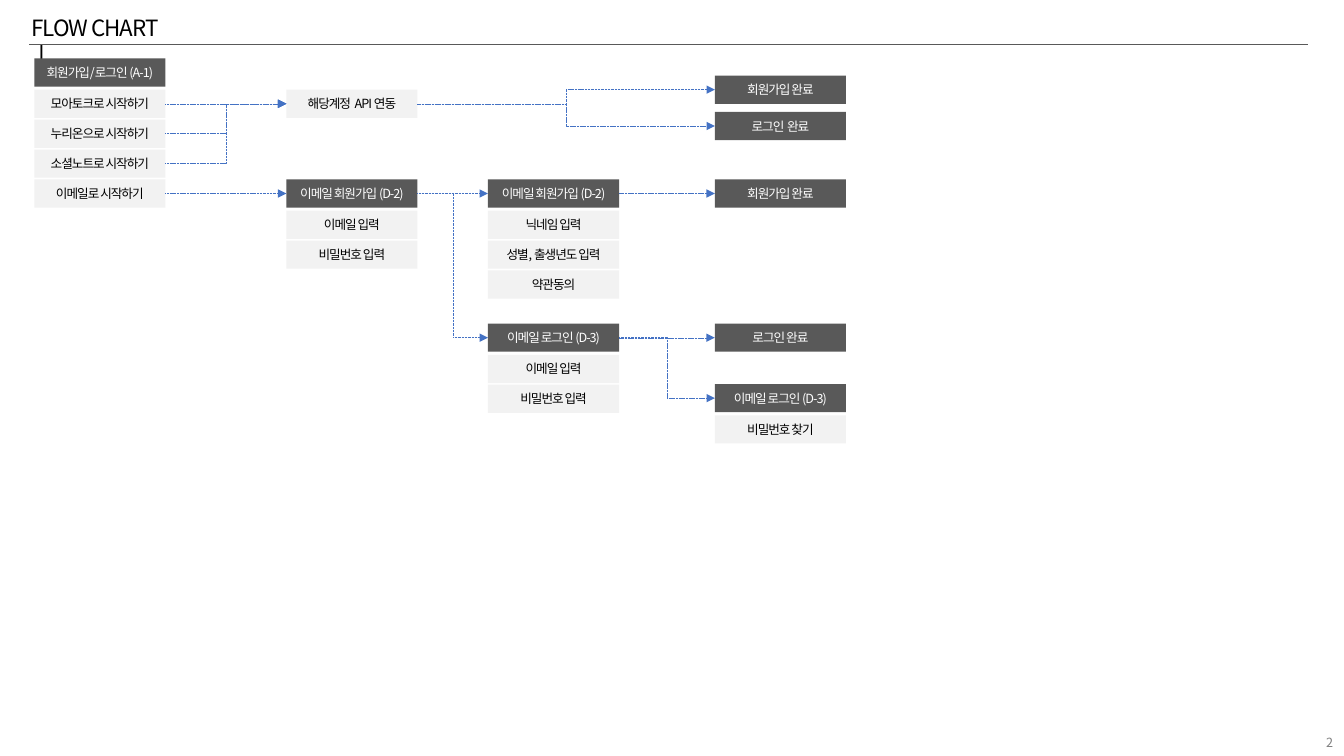
from lxml.etree import SubElement
from pptx import Presentation
from pptx.dml.color import RGBColor
from pptx.enum.dml import MSO_LINE
from pptx.enum.shapes import MSO_CONNECTOR as Link, MSO_SHAPE
from pptx.enum.text import MSO_ANCHOR as Anchor, MSO_AUTO_SIZE as Fit, PP_ALIGN as Align
from pptx.oxml.ns import qn
from pptx.util import Inches, Pt

FONT = "Noto Sans CJK KR"
COLORS = {
    "dark": "595959",
    "light": "F2F2F2",
    "white": "FFFFFF",
    "black": "000000",
    "gray": "808080",
    "blue": "4472C4",
}
WIDE, HIGH = 1.3, 0.28
COLS = [0.34, 2.84, 4.84, 7.09]


def write(shape, text, size=9, color="black", align=Align.CENTER, anchor=Anchor.MIDDLE, track=-70):
    frame = shape.text_frame
    frame.word_wrap = True
    frame.auto_size = Fit.NONE
    frame.vertical_anchor = anchor
    para = frame.paragraphs[0]
    para.alignment = align
    run = para.add_run()
    run.text = text
    run.font.size = Pt(size)
    run.font.name = FONT
    run.font.color.rgb = RGBColor.from_string(COLORS[color])
    props = run.font._element
    props.set("spc", str(track))
    SubElement(props, qn("a:ea")).set("typeface", FONT)


def box(left, top, text, fill="dark", color="white"):
    shape = slide.shapes.add_shape(
        MSO_SHAPE.RECTANGLE, Inches(left), Inches(top), Inches(WIDE), Inches(HIGH))
    shape.shadow.inherit = False
    shape.fill.solid()
    shape.fill.fore_color.rgb = RGBColor.from_string(COLORS[fill])
    shape.line.fill.background()
    write(shape, text, color=color)
    return shape


deck = Presentation()
deck.slide_width = Inches(13.33)
deck.slide_height = Inches(7.5)
slide = deck.slides.add_slide(deck.slide_layouts[5])

rule = slide.shapes.add_connector(
    Link.STRAIGHT, Inches(0.29), Inches(0.44), Inches(12.97), Inches(0.44))
rule.line.width = Pt(0.5)
rule.line.color.rgb = RGBColor.from_string(COLORS["dark"])
SubElement(rule._element.spPr, qn("a:effectLst"))

stacks = {
    "start": (0, 0.58, "회원가입/로그인 (A-1)",
              ["모아토크로 시작하기", "누리온으로 시작하기", "소셜노트로 시작하기", "이메일로 시작하기"]),
    "join": (1, 1.78, "이메일 회원가입 (D-2)", ["이메일 입력", "비밀번호 입력"]),
    "detail": (2, 1.78, "이메일 회원가입 (D-2)", ["닉네임 입력", "성별, 출생년도 입력", "약관동의"]),
    "login": (2, 3.21, "이메일 로그인 (D-3)", ["이메일 입력", "비밀번호 입력"]),
    "find": (3, 3.81, "이메일 로그인 (D-3)", ["비밀번호 찾기"]),
    "joined": (3, 1.78, "회원가입 완료", []),
    "logged": (3, 3.21, "로그인 완료", []),
    "api joined": (3, 0.75, "회원가입 완료", []),
    "api logged": (3, 1.11, "로그인  완료", []),
}
boxes = {"api": box(COLS[1], 0.89, "해당계정  API 연동", "light", "black")}
for name, (col, top, head, items) in stacks.items():
    boxes[name] = box(COLS[col], top, head)
    for i, item in enumerate(items):
        row = top + 0.31 + 0.89 * i / 3
        boxes[f"{name} {i + 1}"] = box(COLS[col], row, item, "light", "black")

flows = [
    ("start 3", "api", Link.ELBOW),
    ("start 2", "api", Link.ELBOW),
    ("start 1", "api", Link.STRAIGHT),
    ("start 4", "join", Link.STRAIGHT),
    ("join", "detail", Link.STRAIGHT),
    ("join", "login", Link.ELBOW),
    ("login", "find", Link.ELBOW),
    ("login", "logged", Link.STRAIGHT),
    ("detail", "joined", Link.STRAIGHT),
    ("api", "api logged", Link.ELBOW),
    ("api", "api joined", Link.ELBOW),
]
for source, target, kind in flows:
    a, b = boxes[source], boxes[target]
    flow = slide.shapes.add_connector(
        kind, a.left + a.width, a.top + a.height // 2, b.left, b.top + b.height // 2)
    flow.begin_connect(a, 3)
    flow.end_connect(b, 1)
    flow.line.width = Pt(0.25)
    flow.line.color.rgb = RGBColor.from_string(COLORS["blue"])
    flow.line.dash_style = MSO_LINE.SQUARE_DOT
    SubElement(flow.line._get_or_add_ln(), qn("a:tailEnd")).set("type", "triangle")
    SubElement(flow._element.spPr, qn("a:effectLst"))

title = slide.shapes.title
title.left, title.top = Inches(0.21), Inches(0.09)
title.width, title.height = Inches(1.6), Inches(0.37)
write(title, "FLOW CHARTㅣ", size=16, align=Align.LEFT, anchor=Anchor.TOP)

number = slide.shapes.add_textbox(Inches(10.32), Inches(7.09), Inches(3), Inches(0.4))
write(number, "2", color="gray", align=Align.RIGHT, anchor=Anchor.BOTTOM, track=0)

deck.save("out.pptx")
